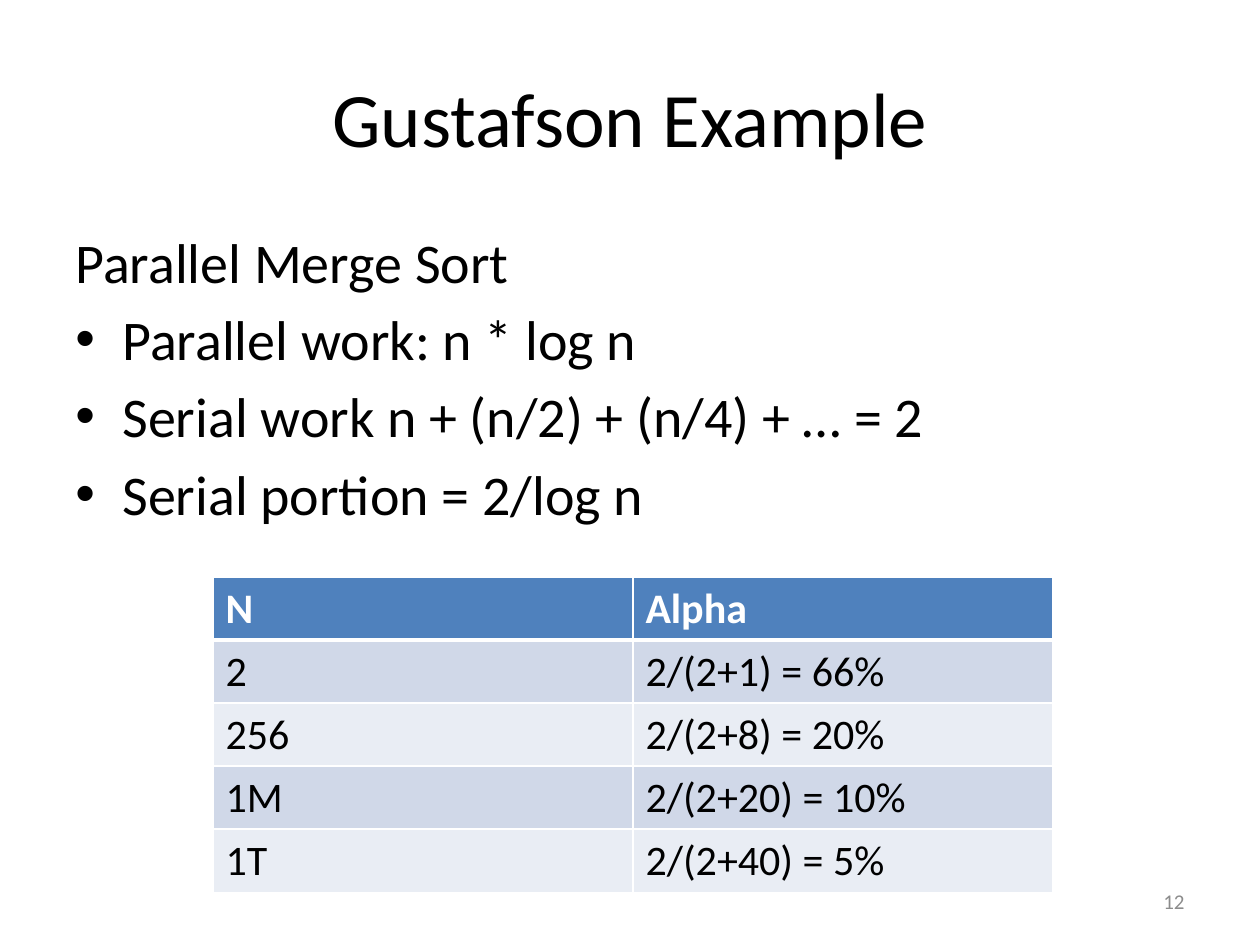
from lxml import etree
from pptx import Presentation
from pptx import util as u
from pptx.dml.color import RGBColor
from pptx.enum import text
from pptx.oxml import ns

BLACK = RGBColor(0x00, 0x00, 0x00)
WHITE = RGBColor(0xFF, 0xFF, 0xFF)
GRAY = RGBColor(0x8C, 0x8C, 0x8C)
HEADER_BLUE = RGBColor(0x4F, 0x81, 0xBD)
BANDS = (RGBColor(0xD0, 0xD8, 0xE8), RGBColor(0xE9, 0xED, 0xF4))

BODY = ["Parallel Merge Sort", "Parallel work: n * log n",
        "Serial work n + (n/2) + (n/4) + … = 2", "Serial portion = 2/log n"]
ALPHAS = [("N", "Alpha"), ("2", "2/(2+1) = 66%"), ("256", "2/(2+8) = 20%"),
          ("1M", "2/(2+20) = 10%"), ("1T", "2/(2+40) = 5%")]


def px(length):
    return u.Emu(round(length * 914400 / 126))


class SlideWriter:
    """Draws styled elements, measured in px, on one slide."""

    font_name = "Calibri"
    indent = 47

    def __init__(self, slide):
        self.slide = slide

    def style(self, paragraph, size, color, bold=False):
        for run in paragraph.runs:
            run.font.name = self.font_name
            run.font.size = u.Pt(size)
            run.font.bold = bold
            run.font.color.rgb = color

    def box(self, left, top, width, height, anchor):
        shape = self.slide.shapes.add_textbox(px(left), px(top), px(width), px(height))
        frame = shape.text_frame
        frame.word_wrap = True
        frame.vertical_anchor = anchor
        return frame

    def label(self, content, left, top, width, height, size, color, align):
        frame = self.box(left, top, width, height, text.MSO_ANCHOR.MIDDLE)
        frame.text = content
        paragraph = frame.paragraphs[0]
        paragraph.alignment = align
        self.style(paragraph, size, color)

    def bullet_list(self, lines, left, top, width, height, size):
        frame = self.box(left, top, width, height, text.MSO_ANCHOR.TOP)
        frame.text = "\n".join(lines)
        for index, paragraph in enumerate(frame.paragraphs):
            if index:
                paragraph.space_before = u.Pt(5.76)
                self.bullet(paragraph)
            self.style(paragraph, size, BLACK)

    def bullet(self, paragraph):
        properties = paragraph._p.get_or_add_pPr()
        properties.set("marL", str(px(self.indent)))
        properties.set("indent", str(-px(self.indent)))
        etree.SubElement(properties, ns.qn("a:buFont")).set("typeface", "Arial")
        etree.SubElement(properties, ns.qn("a:buChar")).set("char", "•")

    def borders(self, cell, **widths):
        properties = cell._tc.get_or_add_tcPr()
        for index, side in enumerate("LRTB"):
            line = etree.Element(ns.qn(f"a:ln{side}"), w=str(u.Pt(widths.get(side, 1))))
            fill = etree.SubElement(line, ns.qn("a:solidFill"))
            etree.SubElement(fill, ns.qn("a:srgbClr")).set("val", str(WHITE))
            properties.insert(index, line)

    def table(self, rows, left, top, width, row_height, size):
        frame = self.slide.shapes.add_table(
            len(rows), len(rows[0]), px(left), px(top), px(width), px(row_height * len(rows)))
        for row_index, row in enumerate(rows):
            header = row_index == 0
            for column_index, content in enumerate(row):
                cell = frame.table.cell(row_index, column_index)
                cell.text = content
                cell.fill.solid()
                cell.fill.fore_color.rgb = HEADER_BLUE if header else BANDS[(row_index - 1) % 2]
                self.style(cell.text_frame.paragraphs[0], size, WHITE if header else BLACK, header)
                self.borders(cell, T=3 if row_index == 1 else 1, B=3 if header else 1)


def main():
    presentation = Presentation()
    presentation.slide_width, presentation.slide_height = px(1260), px(945)
    writer = SlideWriter(presentation.slides.add_slide(presentation.slide_layouts[6]))
    writer.label("Gustafson Example", 63, 38, 1134, 157, 44, BLACK, text.PP_ALIGN.CENTER)
    writer.bullet_list(BODY, 63, 221, 1134, 624, 32)
    writer.label("12", 903, 876, 294, 50, 12, GRAY, text.PP_ALIGN.RIGHT)
    writer.table(ALPHAS, 213, 577, 840, 63, 24)
    presentation.save("out.pptx")


if __name__ == "__main__":
    main()
